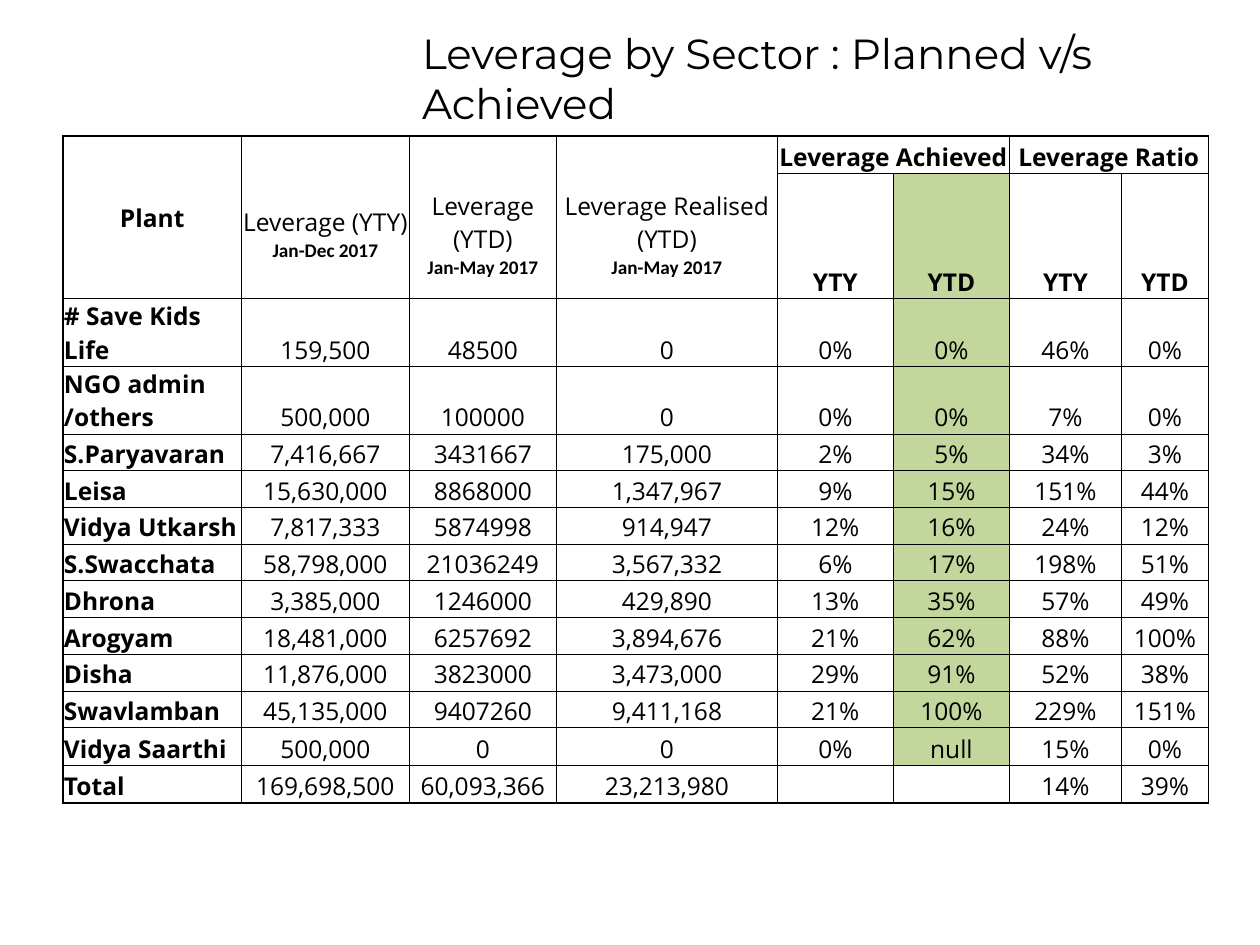
import pptx
import pptx.util
import pptx.dml.color
import pptx.enum.text
import pptx.oxml.ns
import lxml.etree

Cm, Pt = pptx.util.Cm, pptx.util.Pt
ALIGN, ANCHOR = pptx.enum.text.PP_ALIGN, pptx.enum.text.MSO_ANCHOR
COLORS = {"ink": "000000", "ytd": "C3D69B"}
qn = pptx.oxml.ns.qn


def style_run(r, size, font, bold=False):
    """Set size, typeface, weight and colour of a run."""
    r.font.size = Pt(size)
    r.font.name = font
    r.font.bold = bold
    r.font.color.rgb = pptx.dml.color.RGBColor.from_string(COLORS["ink"])


def set_borders(cell, widths):
    """Draw the left, right, top and bottom cell borders, widths in points."""
    tcPr = cell._tc.get_or_add_tcPr()
    for i, (side, width) in enumerate(zip("LRTB", widths)):
        ln = lxml.etree.Element(qn("a:ln" + side), w=str(Pt(width)))
        fill = lxml.etree.SubElement(ln, qn("a:solidFill"))
        lxml.etree.SubElement(fill, qn("a:srgbClr"), val=COLORS["ink"])
        tcPr.insert(i, ln)


prs = pptx.Presentation()
prs.slide_width, prs.slide_height = Cm(25.4), Cm(19.05)
s = prs.slides.add_slide(prs.slide_layouts[6])

header = [
    ["Plant", "Leverage (YTY)\nJan-Dec 2017", "Leverage (YTD)\nJan-May 2017",
     "Leverage Realised (YTD)\nJan-May 2017", "Leverage Achieved", "", "Leverage Ratio", ""],
    ["", "", "", "", "YTY", "YTD", "YTY", "YTD"],
]
sectors = [
    ["# Save Kids Life", "159,500", "48500", "0", "0%", "0%", "46%", "0%"],
    ["NGO admin /others", "500,000", "100000", "0", "0%", "0%", "7%", "0%"],
    ["S.Paryavaran", "7,416,667", "3431667", "175,000", "2%", "5%", "34%", "3%"],
    ["Leisa", "15,630,000", "8868000", "1,347,967", "9%", "15%", "151%", "44%"],
    ["Vidya Utkarsh", "7,817,333", "5874998", "914,947", "12%", "16%", "24%", "12%"],
    ["S.Swacchata", "58,798,000", "21036249", "3,567,332", "6%", "17%", "198%", "51%"],
    ["Dhrona", "3,385,000", "1246000", "429,890", "13%", "35%", "57%", "49%"],
    ["Arogyam", "18,481,000", "6257692", "3,894,676", "21%", "62%", "88%", "100%"],
    ["Disha", "11,876,000", "3823000", "3,473,000", "29%", "91%", "52%", "38%"],
    ["Swavlamban", "45,135,000", "9407260", "9,411,168", "21%", "100%", "229%", "151%"],
    ["Vidya Saarthi", "500,000", "0", "0", "0%", "null", "15%", "0%"],
]
total = ["Total", "169,698,500", "60,093,366", "23,213,980", "", "", "14%", "39%"]
rows = header + sectors + [total]
col_widths = [3.6, 3.38, 2.97, 4.45, 2.34, 2.34, 2.26, 1.75]
last = len(rows) - 1
YTD_COL = 5

frame = s.shapes.add_table(len(rows), len(col_widths), Cm(1.27), Cm(2.74), Cm(23.09), Cm(10.46))
table = frame.table
table.first_row = table.horz_banding = False
for column, width in zip(table.columns, col_widths):
    column.width = Cm(width)
for i, row in enumerate(table.rows):
    row.height = Cm(0.76 if i < 2 or i >= last - 1 else 0.74)

for col in range(4):
    table.cell(0, col).merge(table.cell(1, col))
for col in (4, 6):
    table.cell(0, col).merge(table.cell(0, col + 1))

for i, values in enumerate(rows):
    for j, value in enumerate(values):
        cell = table.cell(i, j)
        spans_header = i == 0 and j < 4
        cell.margin_left = cell.margin_right = cell.margin_top = Cm(0.02)
        cell.margin_bottom = 0
        cell.vertical_anchor = ANCHOR.MIDDLE if spans_header else ANCHOR.BOTTOM
        if spans_header and j > 0:
            cell.margin_top = Cm(0.69)

        if j == YTD_COL and 0 < i < last:
            cell.fill.solid()
            cell.fill.fore_color.rgb = pptx.dml.color.RGBColor.from_string(COLORS["ytd"])
        else:
            cell.fill.background()

        # Thin rules separate the sectors and split the achieved pair
        split = i in (1, last)
        set_borders(cell, (
            0.5 if split and j == YTD_COL else 1,
            0.5 if split and j == YTD_COL - 1 else 1,
            0.5 if 2 < i < last else 1,
            0.5 if 2 <= i < last - 1 else 1,
        ))

        cell.text_frame.text = value
        for k, p in enumerate(cell.text_frame.paragraphs):
            p.alignment = ALIGN.LEFT if j == 0 and i > 1 else ALIGN.CENTER
            for r in p.runs:
                if k == 1:
                    style_run(r, 11, "Calibri", True)
                else:
                    bold = j == 0 or (i < 2 and j > 3)
                    style_run(r, 14, "Open Sans", bold)
            if not p.runs:
                lxml.etree.SubElement(p._p, qn("a:endParaRPr"), sz="1400")

title = s.shapes.add_textbox(Cm(8.26), Cm(0.43), Cm(17.14), Cm(2.31))
tf = title.text_frame
tf.word_wrap = True
tf.auto_size = pptx.enum.text.MSO_AUTO_SIZE.SHAPE_TO_FIT_TEXT
tf.text = "Leverage by Sector : Planned v/s Achieved"
style_run(tf.paragraphs[0].runs[0], 24, "Montserrat")

prs.save("out.pptx")
